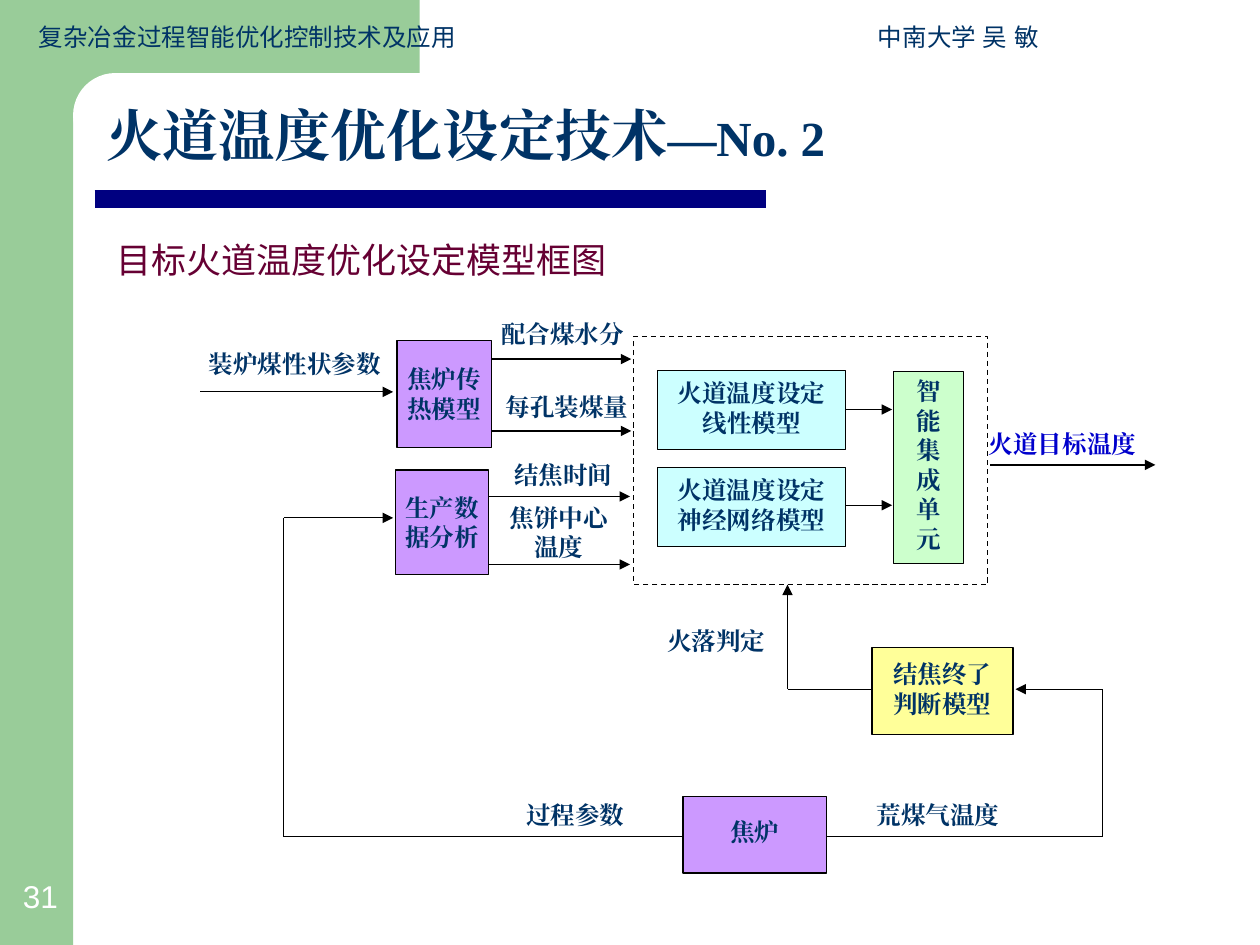
from pptx import Presentation
from pptx import util as u
from pptx.dml.color import RGBColor
from pptx.enum import dml, shapes, text
from pptx.oxml.ns import qn
from lxml import etree

Inches, Pt = u.Inches, u.Pt
BLACK = RGBColor(0x00, 0x00, 0x00)
WHITE = RGBColor(0xFF, 0xFF, 0xFF)
SAGE = RGBColor(0x99, 0xCC, 0x99)
INK = RGBColor(0x00, 0x33, 0x66)
NAVY = RGBColor(0x00, 0x00, 0x80)
BLUE = RGBColor(0x00, 0x00, 0xCC)
PLUM = RGBColor(0x66, 0x00, 0x33)
PURPLE = RGBColor(0xCC, 0x99, 0xFF)
CYAN = RGBColor(0xCC, 0xFF, 0xFF)
MINT = RGBColor(0xCC, 0xFF, 0xCC)
YELLOW = RGBColor(0xFF, 0xFF, 0x99)
LEFT, CENTER = text.PP_ALIGN.LEFT, text.PP_ALIGN.CENTER
MIDDLE, BOTTOM = text.MSO_ANCHOR.MIDDLE, text.MSO_ANCHOR.BOTTOM

deck = Presentation()
deck.slide_width, deck.slide_height = Inches(10), Inches(7.5)
slide = deck.slides.add_slide(deck.slide_layouts[6])


def write(words, at, fill=None, line=None, preset=None, size=14, font="Times New Roman",
          color=INK, bold=True, align=CENTER, anchor=MIDDLE, margins=(0.1, 0.05, 0.1, 0.05),
          spacing=None, before=0, wrap=True, tab=None):
    """Place text; each line is a paragraph, each (text, size) pair in a line a run."""
    place = [Inches(v) for v in at]
    if fill or line:
        box = slide.shapes.add_shape(preset or shapes.MSO_SHAPE.RECTANGLE, *place)
        box.shadow.inherit = False
        if fill:
            box.fill.solid()
            box.fill.fore_color.rgb = fill
        else:
            box.fill.background()
        if line:
            box.line.color.rgb = line
            box.line.width = Pt(0.75)
        else:
            box.line.fill.background()
    else:
        box = slide.shapes.add_textbox(*place)
    frame = box.text_frame
    frame.word_wrap, frame.vertical_anchor = wrap, anchor
    (frame.margin_left, frame.margin_top,
     frame.margin_right, frame.margin_bottom) = [Inches(m) for m in margins]
    for number, row in enumerate(words):
        paragraph = frame.add_paragraph() if number else frame.paragraphs[0]
        if tab:
            stops = etree.SubElement(paragraph._p.get_or_add_pPr(), qn("a:tabLst"))
            etree.SubElement(stops, qn("a:tab"), pos=str(Inches(tab)), algn="l")
        paragraph.alignment = align
        if spacing:
            paragraph.line_spacing = spacing
        if number and before:
            paragraph.space_before = Pt(before)
        for part, points in ([(row, size)] if isinstance(row, str) else row):
            run = paragraph.add_run()
            run.text = part
            run.font.size, run.font.bold, run.font.name = Pt(points), bold, font
            run.font.color.rgb = color
            etree.SubElement(run.font._element, qn("a:ea"), typeface=font)
    return box


def connect(x1, y1, x2, y2, arrow=False, color=BLACK, width=0.75):
    link = slide.shapes.add_connector(
        shapes.MSO_CONNECTOR.STRAIGHT, Inches(x1), Inches(y1), Inches(x2), Inches(y2))
    link.line.color.rgb, link.line.width = color, Pt(width)
    if arrow:
        etree.SubElement(link.line._get_or_add_ln(), qn("a:tailEnd"), type="triangle")
    etree.SubElement(link._element.spPr, qn("a:effectLst"))


# Green frame with its rounded inner corner
write([], (0, 0, 0.58, 7.5), fill=SAGE)
write([], (0.58, 0, 2.75, 0.92), fill=SAGE)
corner = write([], (0.58, 0.58, 5.58, 0.67), fill=WHITE,
               preset=shapes.MSO_SHAPE.ROUNDED_RECTANGLE)
corner.adjustments[0] = 0.5

# Title, rule and subtitle
write([[("火道温度优化设定技术", 32), ("—No. 2", 28)]], (0.75, 0.75, 8.33, 0.64),
      align=LEFT, anchor=text.MSO_ANCHOR.TOP)
write(["目标火道温度优化设定模型框图"], (0.83, 1.85, 4.08, 0.42), fill=WHITE, line=WHITE,
      size=20, font="Noto Sans CJK SC", color=PLUM, bold=False, wrap=False)
connect(0.75, 1.58, 6.08, 1.58, color=NAVY, width=10)

# Flow lines: plain stretches, then arrows
for stretch in [
    (2.25, 6.64, 8.75, 6.64),
    (2.25, 6.64, 2.25, 4.11),
    (8.75, 6.64, 8.75, 5.47),
    (6.92, 5.47, 6.25, 5.47),
]:
    connect(*stretch)
for arrow in [
    (1.59, 3.11, 3.12, 3.11),
    (2.25, 4.11, 3.12, 4.11),
    (3.9, 2.85, 5.01, 2.85),
    (3.9, 3.42, 5.01, 3.42),
    (3.88, 3.94, 5, 3.94),
    (3.88, 4.48, 5, 4.48),
    (6.71, 3.25, 7.08, 3.25),
    (6.71, 4.01, 7.08, 4.01),
    (7.86, 3.69, 9.17, 3.69),
    (8.75, 5.47, 8.06, 5.47),
    (6.25, 5.47, 6.25, 4.64),
]:
    connect(*arrow, arrow=True)

# Dashed boundary of the setting model
boundary = write([], (5.03, 2.67, 2.81, 1.97), line=BLACK)
boundary.line.dash_style = dml.MSO_LINE.DASH

# Process blocks
narrow, normal = (0.02, 0.09, 0.02, 0.05), (0.1, 0.05, 0.1, 0.05)
for words, at, fill, margins in [
    (["焦炉传", "热模型"], (3.15, 2.7, 0.75, 0.85), PURPLE, narrow),
    (["生产数", "据分析"], (3.14, 3.73, 0.74, 0.83), PURPLE, narrow),
    (["火道温度设定", "线性模型"], (5.22, 2.94, 1.49, 0.63), CYAN, normal),
    (["火道温度设定", "神经网络模型"], (5.22, 3.71, 1.49, 0.63), CYAN, normal),
    (list("智能集成单元"), (7.09, 2.95, 0.56, 1.52), MINT, normal),
    (["结焦终了", "判断模型"], (6.92, 5.14, 1.12, 0.69), YELLOW, normal),
    (["焦炉"], (5.42, 6.32, 1.14, 0.61), PURPLE, normal),
]:
    write(words, at, fill=fill, line=BLACK, margins=margins, spacing=0.8, before=3.5)

# Signal labels
for words, at in [
    (["装炉煤性状参数"], (1.59, 2.61, 1.5, 0.56)),
    (["配合煤水分"], (3.96, 2.42, 1.01, 0.45)),
    (["每孔装煤量"], (3.98, 2.97, 1.04, 0.51)),
    (["结焦时间"], (4.01, 3.66, 0.92, 0.22)),
    (["焦饼中心", "温度"], (4.02, 3.97, 0.83, 0.51)),
    (["火落判定"], (5.2, 4.89, 0.97, 0.39)),
    (["过程参数"], (3.92, 6.21, 1.29, 0.51)),
    (["荒煤气温度"], (6.8, 6.21, 1.29, 0.51)),
]:
    write(words, at, margins=(0, 0, 0, 0))
write(["火道目标温度"], (7.75, 3.27, 1.5, 0.51), color=BLUE, align=LEFT,
      margins=(0.1, 0, 0.1, 0))

# Running header and page number
write(["复杂冶金过程智能优化控制技术及应用\t中南大学 吴 敏"], (0.21, 0.12, 9.58, 0.34),
      font="Arial", bold=False, align=LEFT, anchor=BOTTOM, tab=6.66)
write(["31"], (0, 6.91, 0.64, 0.4), size=18, font="Arial", color=WHITE, bold=False,
      anchor=BOTTOM)

deck.save("out.pptx")
